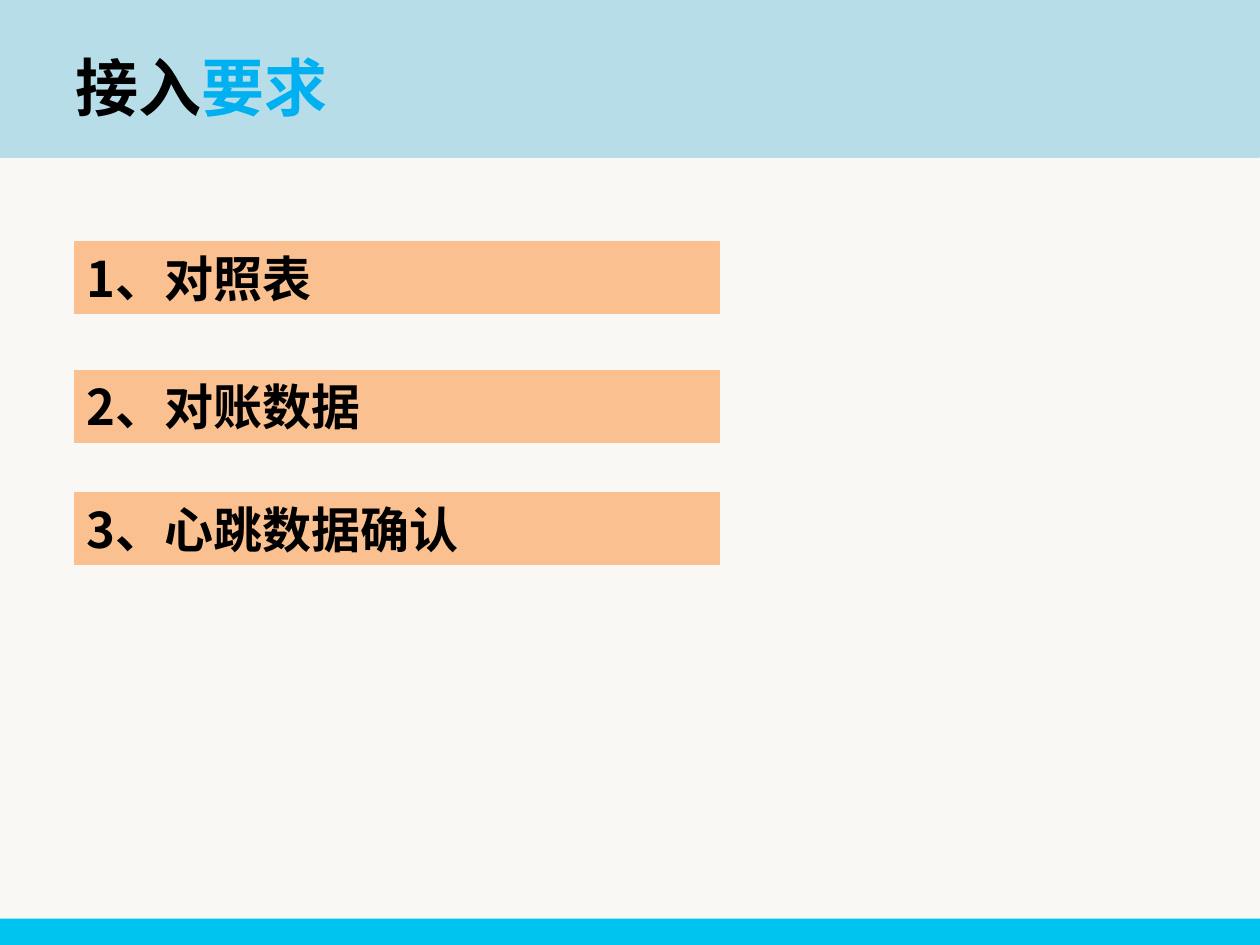
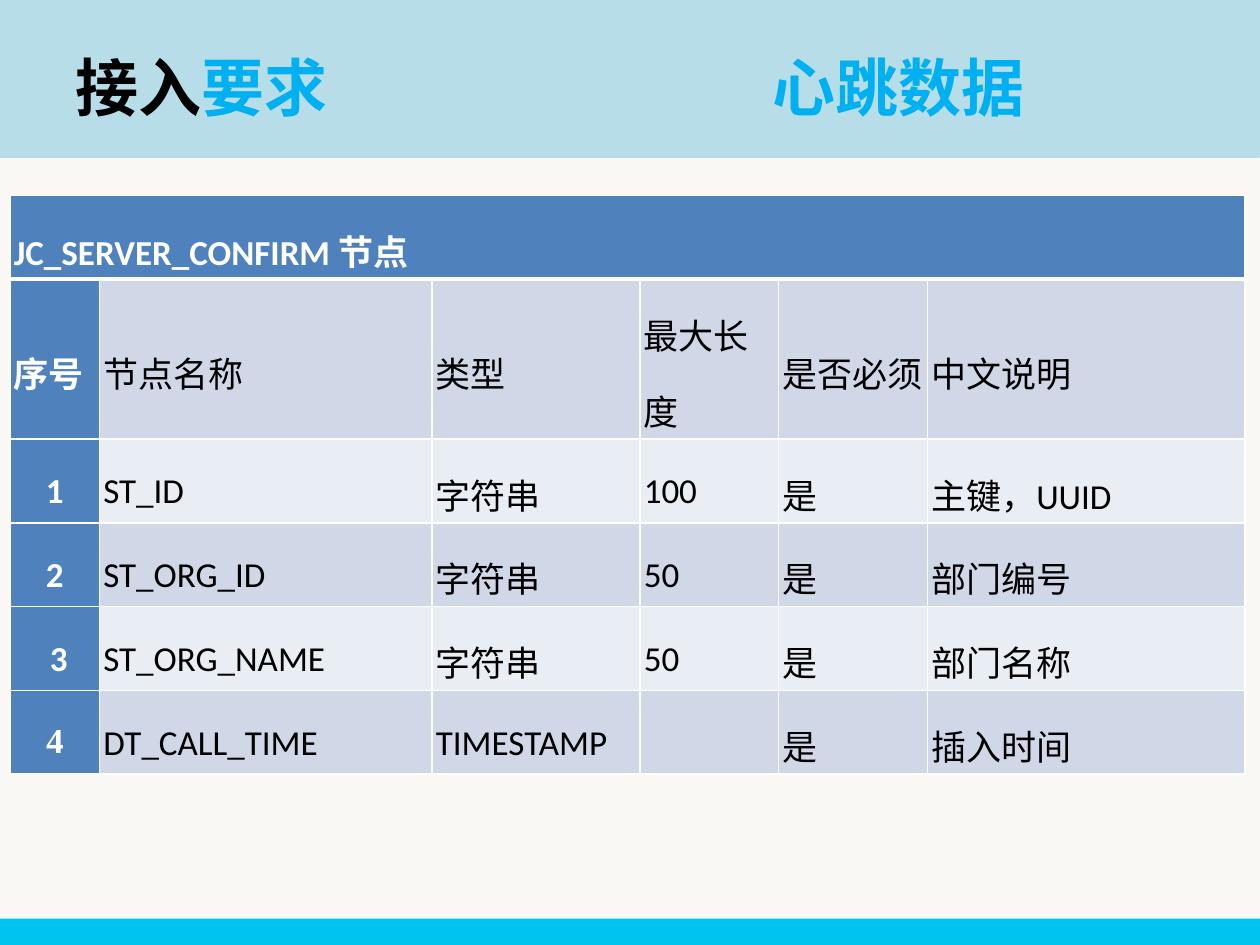
from lxml import etree
from pptx import Presentation
from pptx.dml.color import RGBColor
from pptx.enum.shapes import MSO_SHAPE
from pptx.enum.text import MSO_ANCHOR, PP_ALIGN
from pptx.oxml.ns import qn
from pptx.util import Inches, Pt

RECT = MSO_SHAPE.RECTANGLE
MIDDLE = MSO_ANCHOR.MIDDLE
LEFT, CENTER = PP_ALIGN.LEFT, PP_ALIGN.CENTER

PAPER = RGBColor(0xF9, 0xF8, 0xF5)
BAND = RGBColor(0xB7, 0xDE, 0xE8)
FOOTER = RGBColor(0x00, 0xC4, 0xF0)
ACCENT = RGBColor(0x00, 0xB0, 0xF0)
ITEM = RGBColor(0xFA, 0xC0, 0x90)
HEAD = RGBColor(0x4F, 0x81, 0xBD)
ROW_DARK = RGBColor(0xD0, 0xD8, 0xE8)
ROW_LIGHT = RGBColor(0xE9, 0xED, 0xF4)
BLACK = RGBColor(0, 0, 0)
WHITE = RGBColor(0xFF, 0xFF, 0xFF)

CJK, LATIN, SERIF = "Noto Sans CJK SC", "Calibri", "Times New Roman"

ITEMS = [(1.92, "1、对照表"), (2.94, "2、对账数据"), (3.91, "3、心跳数据确认")]

COL_WIDTHS = [0.71, 2.64, 1.65, 1.1, 1.18, 2.52]
ROW_HEIGHT = 0.54
NODE_ROWS = [
    ["JC_SERVER_CONFIRM 节点", "", "", "", "", ""],
    ["序号", "节点名称", "类型", "最大长度", "是否必须", "中文说明"],
    ["1", "ST_ID", "字符串", "100", "是", "主键，UUID"],
    ["2", "ST_ORG_ID", "字符串", "50", "是", "部门编号"],
    [" 3", "ST_ORG_NAME", "字符串", "50", "是", "部门名称"],
    ["4", "DT_CALL_TIME", "TIMESTAMP", "", "是", "插入时间"],
]


class Deck:
    def __init__(self):
        self.prs = Presentation()
        self.prs.slide_width, self.prs.slide_height = Inches(10), Inches(7.5)
        self.s = None

    def new_slide(self, topic=None):
        """Start a slide with the shared background, bands and title."""
        self.s = self.prs.slides.add_slide(self.prs.slide_layouts[5])
        fill = self.s.background.fill
        fill.solid()
        fill.fore_color.rgb = PAPER
        self.bar(-0.01, 0.01, 10, 1.23, BAND, 2)
        self.title(topic)
        self.bar(0, 7.29, 10, 0.21, FOOTER)

    def title(self, topic):
        sp = self.s.shapes.title
        self.s.shapes._spTree.append(sp._element)  # in front of the band
        sp.left, sp.top = Inches(0.5), Inches(0.06)
        sp.width, sp.height = Inches(8.99), Inches(1.25)
        sp.text_frame.vertical_anchor = MIDDLE
        p = sp.text_frame.paragraphs[0]
        p.alignment = LEFT
        self.run(p, "接入", 36, BLACK)
        self.run(p, "要求", 36, ACCENT)
        if topic:
            tabs = etree.SubElement(p._p.get_or_add_pPr(), qn("a:tabLst"))
            etree.SubElement(tabs, qn("a:tab"), pos=str(Inches(5.53)), algn="l")
            self.run(p, "\t" + topic, 36, ACCENT)

    def run(self, p, text, size, color, font=CJK, bold=True):
        r = p.add_run()
        r.text = text
        r.font.size, r.font.bold, r.font.name = Pt(size), bold, font
        r.font.color.rgb = color
        etree.SubElement(r._r.get_or_add_rPr(), qn("a:ea"), typeface=CJK)

    def bar(self, x, y, w, h, color, line=None):
        sp = self.s.shapes.add_shape(RECT, Inches(x), Inches(y), Inches(w), Inches(h))
        sp.shadow.inherit = False
        sp.fill.solid()
        sp.fill.fore_color.rgb = color
        if line:
            sp.line.color.rgb = color
            sp.line.width = Pt(line)
        else:
            sp.line.fill.background()
        return sp

    def item(self, y, text):
        tf = self.bar(0.59, y, 5.12, 0.57, ITEM, 0.75).text_frame
        tf.word_wrap = True
        tf.vertical_anchor = MIDDLE
        p = tf.paragraphs[0]
        p.alignment = LEFT
        self.run(p, text, 28, BLACK)

    def table(self, x, y, rows):
        frame = self.s.shapes.add_table(
            len(rows), len(COL_WIDTHS), Inches(x), Inches(y),
            Inches(sum(COL_WIDTHS)), Inches(ROW_HEIGHT * len(rows)))
        table = frame.table
        table.first_row = table.horz_banding = False
        for col, width in zip(table.columns, COL_WIDTHS):
            col.width = Inches(width)
        for i, row in enumerate(rows):
            table.rows[i].height = Inches(ROW_HEIGHT)
            for j, text in enumerate(row):
                self.cell(table.cell(i, j), i, j, text)
        table.cell(0, 0).merge(table.cell(0, len(COL_WIDTHS) - 1))

    def cell(self, cell, i, j, text):
        head = i == 0 or j == 0
        self.borders(cell, top=3 if i == 1 else 1, bottom=3 if i == 0 else 1)
        cell.fill.solid()
        cell.fill.fore_color.rgb = HEAD if head else ROW_DARK if i % 2 else ROW_LIGHT
        cell.vertical_anchor = MIDDLE
        cell.margin_left = cell.margin_right = Inches(0.03)
        cell.margin_top = cell.margin_bottom = Inches(0.03)
        if not text:
            return
        p = cell.text_frame.paragraphs[0]
        p.line_spacing = 1.5
        p.alignment = CENTER if j == 0 and i > 1 else LEFT
        font = SERIF if text == "4" else LATIN
        self.run(p, text, 20, WHITE if head else BLACK, font, head)

    def borders(self, cell, top, bottom):
        tcPr = cell._tc.get_or_add_tcPr()
        for side, width in (("L", 1), ("R", 1), ("T", top), ("B", bottom)):
            ln = etree.SubElement(tcPr, qn("a:ln" + side), w=str(Pt(width)))
            fill = etree.SubElement(ln, qn("a:solidFill"))
            etree.SubElement(fill, qn("a:srgbClr"), val=str(WHITE))


def main():
    deck = Deck()
    deck.new_slide()
    for y, text in ITEMS:
        deck.item(y, text)
    deck.new_slide("心跳数据")
    deck.table(0.08, 1.55, NODE_ROWS)
    deck.prs.save("out.pptx")


if __name__ == "__main__":
    main()
